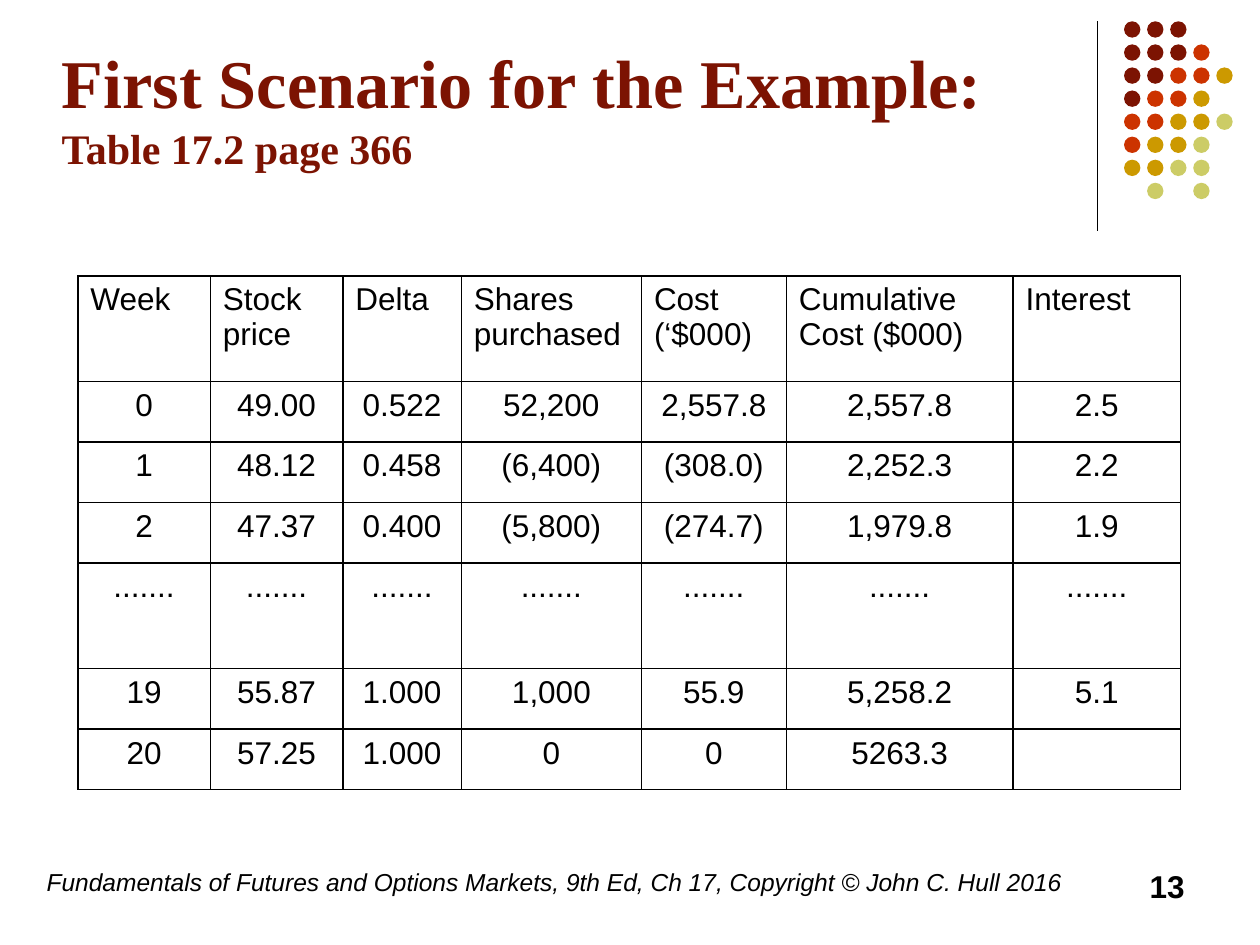
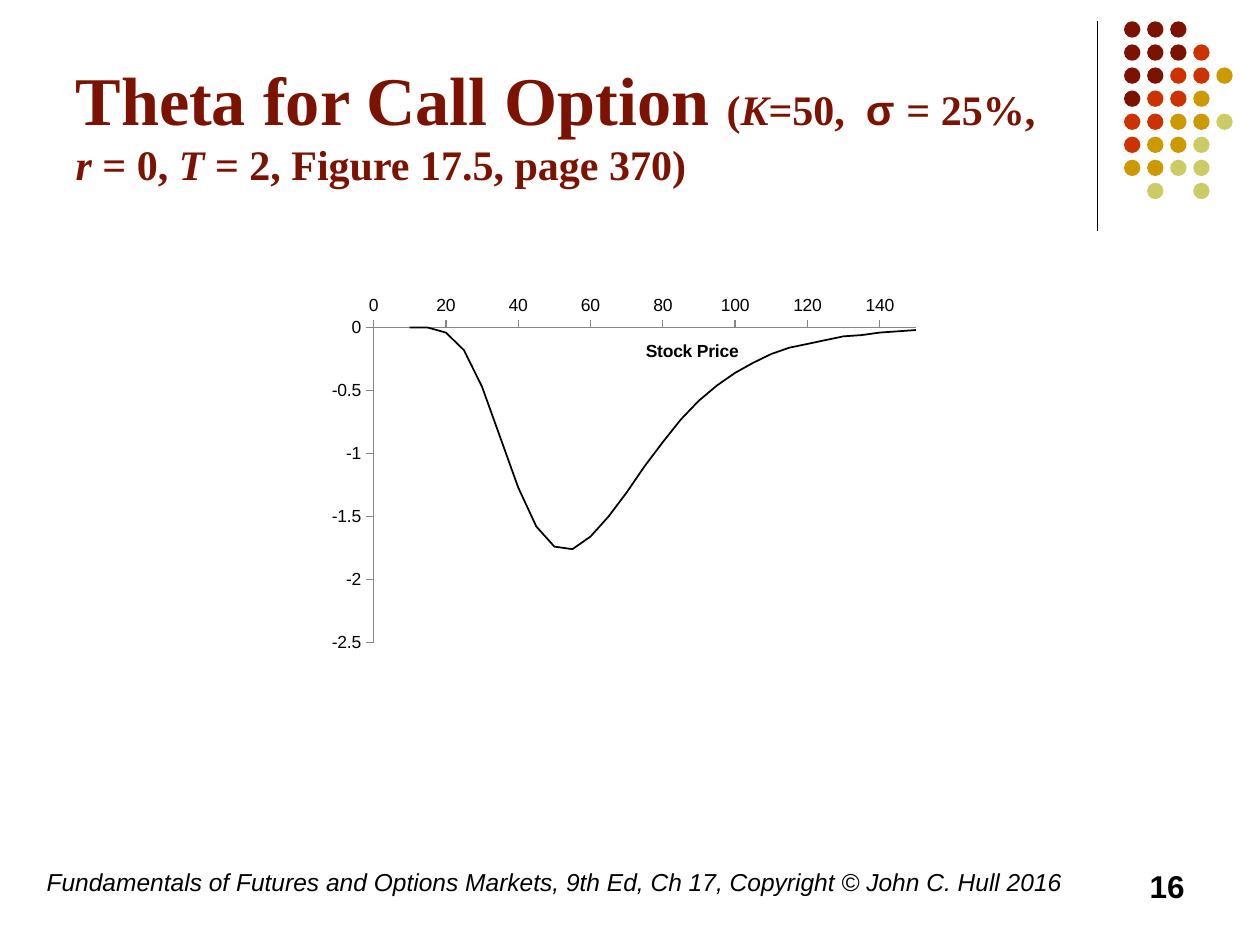
"""Build two slides on option hedging: a scenario table and a theta chart."""
from lxml.etree import SubElement as Sub
from pptx import Presentation
from pptx.chart.data import XyChartData
from pptx.dml.color import RGBColor
from pptx.enum.chart import XL_CHART_TYPE as Kind, XL_TICK_LABEL_POSITION as Spot
from pptx.enum.chart import XL_TICK_MARK as Tick
from pptx.enum.shapes import MSO_CONNECTOR as Wire, MSO_SHAPE as Form
from pptx.enum.text import MSO_ANCHOR as Anchor, MSO_AUTO_SIZE as Fit, PP_ALIGN as Align
from pptx.oxml import parse_xml
from pptx.oxml.ns import nsdecls, qn
from pptx.util import Cm, Pt

BLACK, WINE, GREY = "000000", "7C1302", "868686"
TONES = {"A": WINE, "B": "CC3300", "C": "CC9900", "D": "CCCC66"}
DOTS = ["AAA", "AAAB", "AABBC", "ABBC", "BBCCD", "BCCD", "CCDD", " D D"]
CREDIT = ("Fundamentals of Futures and Options Markets, 9th Ed, Ch 17, "
          "Copyright © John C. Hull 2016")

HEAD = {"name": "Times New Roman", "size": Pt(39), "bold": True}
SUB = {**HEAD, "size": Pt(24)}
VAR = {**SUB, "italic": True}
CELL = {"name": "Arial", "size": Pt(18)}
NOTE = {"name": "Arial", "size": Pt(14), "italic": True}
PAGE = {**CELL, "bold": True}
MARK = {"name": "Arial", "size": Pt(10)}

COLS = [2.67, 2.67, 2.39, 3.63, 2.92, 4.57, 3.38]
ROWS = [2.13, 1.22, 1.22, 1.22, 2.13, 1.22, 1.22]
WEEKS = [
    ["Week", "Stock price", "Delta", "Shares purchased", "Cost (‘$000)",
     "Cumulative\nCost ($000)", "Interest"],
    ["0", "49.00", "0.522", "52,200", "2,557.8", "2,557.8", "2.5"],
    ["1", "48.12", "0.458", "(6,400)", "(308.0)", "2,252.3", "2.2"],
    ["2", "47.37", "0.400", "(5,800)", "(274.7)", "1,979.8", "1.9"],
    ["......."] * len(COLS),
    ["19", "55.87", "1.000", "1,000", "55.9", "5,258.2", "5.1"],
    ["20", "57.25", "1.000", "0", "0", "5263.3", ""],
]
THETA = [0, 0, -0.04, -0.18, -0.47, -0.87, -1.27, -1.58, -1.74, -1.76, -1.66,
         -1.5, -1.31, -1.1, -0.91, -0.73, -0.58, -0.46, -0.36, -0.28, -0.21,
         -0.16, -0.13, -0.1, -0.07, -0.06, -0.04, -0.03, -0.02]


def rgb(code):
    """Turn a hex string into a colour."""
    return RGBColor.from_string(code)


def put(item, values):
    """Set each named value on an object."""
    for key, value in values.items():
        setattr(item, key, value)


def style(font, values, tone=BLACK):
    """Format a font and colour it."""
    put(font, values)
    font.color.rgb = rgb(tone)


def box(*sides):
    """Turn left, top, width and height into lengths."""
    return [Cm(side) for side in sides]


def add_title(slide, left, top, lines):
    """Place the title and fill it line by line with formatted runs."""
    title = slide.shapes.title
    put(title, dict(zip(("left", "top", "width", "height"),
                        box(left, top, 20.96, 3.61))))
    put(title.text_frame, {"vertical_anchor": Anchor.BOTTOM,
                           "auto_size": Fit.NONE, "word_wrap": True})
    para = title.text_frame.paragraphs[0]
    para.alignment = Align.LEFT
    for num, line in enumerate(lines):
        if num:
            para.add_line_break()
        for text, look in line:
            run = para.add_run()
            run.text = text
            style(run.font, look, WINE)


def add_text(slide, area, text, look, align=Align.LEFT):
    """Add a wrapped one-paragraph text box."""
    frame = slide.shapes.add_textbox(*box(*area)).text_frame
    frame.word_wrap = True
    para = frame.paragraphs[0]
    put(para, {"text": text, "alignment": align})
    style(para.font, look)


def add_dots(slide):
    """Draw the corner rule and its grid of dots."""
    rule = slide.shapes.add_connector(Wire.STRAIGHT, *box(22.12, 0.43, 22.12, 4.65))
    rule.line.color.rgb = rgb(BLACK)
    rule.line.width = Pt(0.75)
    Sub(rule._element.spPr, qn("a:effectLst"))
    group = slide.shapes.add_group_shape()
    step, size = 0.465, 0.33
    for row, tones in enumerate(DOTS):
        for col, tone in enumerate(tones):
            if tone in TONES:
                area = box(22.66 + col * step, 0.43 + row * step, size, size)
                dot = group.shapes.add_shape(Form.OVAL, *area)
                dot.shadow.inherit = False
                dot.fill.solid()
                dot.fill.fore_color.rgb = rgb(TONES[tone])
                dot.line.fill.background()


def add_slide(deck, page):
    """Add a title-only slide with dots, credit and page number."""
    slide = deck.slides.add_slide(deck.slide_layouts[5])
    add_dots(slide)
    add_text(slide, (0.69, 17.35, 21, 1.27), CREDIT, NOTE)
    add_text(slide, (18.21, 17.35, 5.92, 1.27), page, PAGE, Align.RIGHT)
    return slide


def add_edges(cell):
    """Give a cell thin black borders."""
    props = cell._tc.get_or_add_tcPr()
    for side in "LRTB":
        props.append(parse_xml(
            f'<a:ln{side} {nsdecls("a")} w="12700"><a:solidFill>'
            f'<a:srgbClr val="{BLACK}"/></a:solidFill></a:ln{side}>'))


def add_grid(slide):
    """Add the weekly hedging table."""
    area = box(1.57, 5.56, sum(COLS), sum(ROWS))
    grid = slide.shapes.add_table(len(ROWS), len(COLS), *area).table
    put(grid, {"first_row": False, "horz_banding": False})
    for col, width in zip(grid.columns, COLS):
        col.width = Cm(width)
    for num, (row, height) in enumerate(zip(grid.rows, ROWS)):
        row.height = Cm(height)
        for cell, text in zip(row.cells, WEEKS[num]):
            cell.text = text
            add_edges(cell)
            cell.fill.background()
            for para in cell.text_frame.paragraphs:
                para.alignment = Align.CENTER if num else Align.LEFT
                style(para.font, CELL)


def place(node, index, **values):
    """Give a chart part a manual layout."""
    for old in node.findall(qn("c:layout")):
        node.remove(old)
    parts = "".join(f'<c:{key} val="{val}"/>' for key, val in values.items())
    node.insert(index, parse_xml(
        f'<c:layout {nsdecls("c")}><c:manualLayout>{parts}'
        '</c:manualLayout></c:layout>'))


def set_axis(axis, values):
    """Format one axis with a grey line and no grid."""
    put(axis, {"has_major_gridlines": False, "has_minor_gridlines": False,
               "minor_tick_mark": Tick.NONE, **values})
    axis.format.line.color.rgb = rgb(GREY)
    style(axis.tick_labels.font, MARK)
    put(axis.tick_labels, {"number_format": "General",
                           "number_format_is_linked": False})


def add_curve(slide):
    """Add the chart of theta against stock price."""
    data = XyChartData()
    points = data.add_series("Series 1")
    for num, theta in enumerate(THETA):
        points.add_data_point(10 + 5 * num, theta)
    chart = slide.shapes.add_chart(Kind.XY_SCATTER_SMOOTH_NO_MARKERS,
                                   *box(6.35, 5.72, 12.7, 7.62), data).chart
    put(chart, {"has_title": False, "has_legend": False})
    style(chart.font, MARK)
    plot = chart.plots[0]
    plot.vary_by_categories = False
    curve = plot.series[0]
    curve.smooth = True
    curve.format.line.color.rgb = rgb(BLACK)
    curve.format.line.width = Pt(1)
    price = chart.category_axis
    set_axis(price, {"minimum_scale": 0, "maximum_scale": 150, "major_unit": 20,
                     "major_tick_mark": Tick.INSIDE,
                     "tick_label_position": Spot.HIGH})
    set_axis(chart.value_axis, {"minimum_scale": -2.5, "maximum_scale": 0,
                                "major_unit": 0.5,
                                "major_tick_mark": Tick.OUTSIDE})
    para = price.axis_title.text_frame.paragraphs[0]
    run = para.add_run()
    run.text = "Stock Price"
    style(run.font, {**MARK, "bold": True})
    place(price.axis_title._element, 1, xMode="edge", yMode="edge", x=0.52, y=0.14)
    place(chart._chartSpace.chart.plotArea, 0, layoutTarget="inner", xMode="edge",
          yMode="edge", x=0.093, y=0.116, w=0.861, h=0.833)


def main():
    """Build and save the deck."""
    deck = Presentation()
    put(deck, {"slide_width": Cm(25.4), "slide_height": Cm(19.05)})

    slide = add_slide(deck, "13")
    add_title(slide, 0.99, 0, [[("First Scenario for the Example:", HEAD)],
                               [("Table 17.2 page 366", SUB)]])
    add_grid(slide)

    slide = add_slide(deck, "16")
    add_title(slide, 1.27, 0.33, [
        [("Theta for Call Option ", HEAD), ("(", SUB), ("K", VAR), ("=50,  ", SUB),
         ("σ ", {**SUB, "name": "Arial"}), ("= 25%,", SUB)],
        [("r ", VAR), ("= 0, ", SUB), ("T ", VAR),
         ("= 2, Figure 17.5, page 370)", SUB)]])
    add_curve(slide)
    deck.save("out.pptx")


if __name__ == "__main__":
    main()
